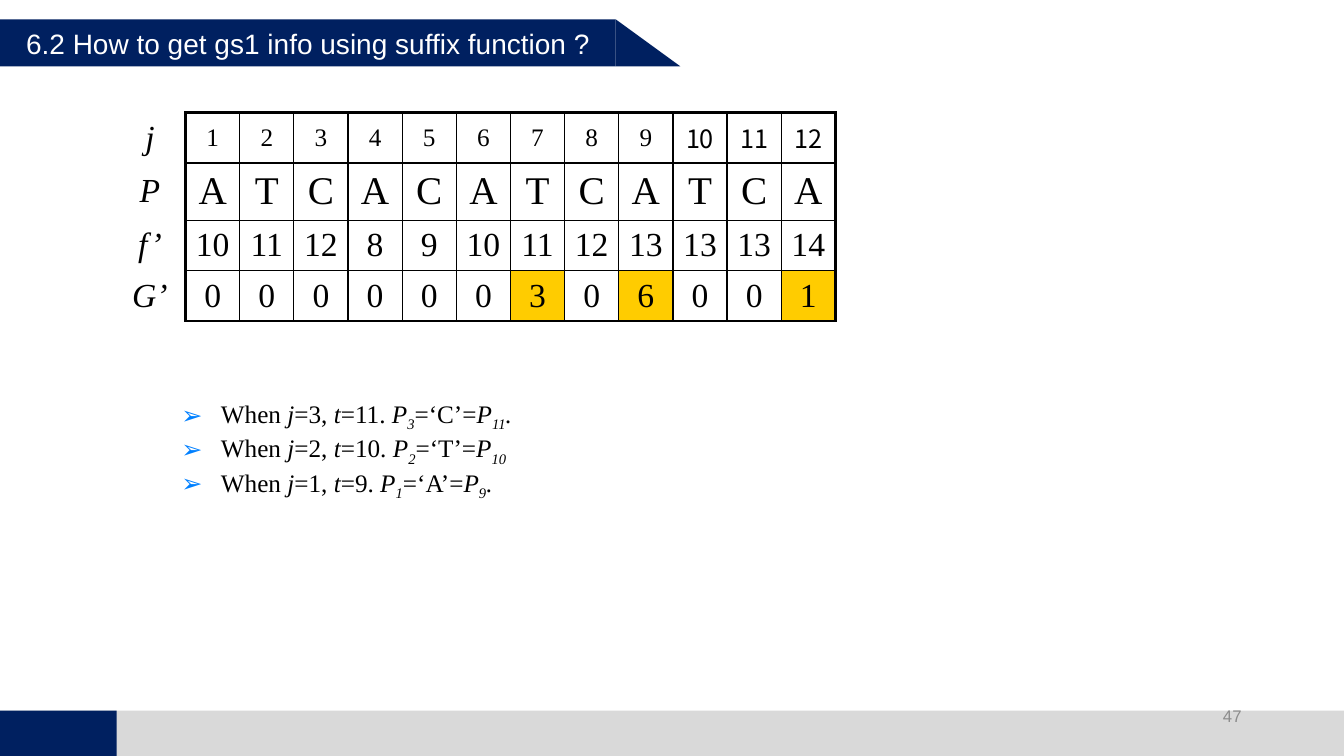
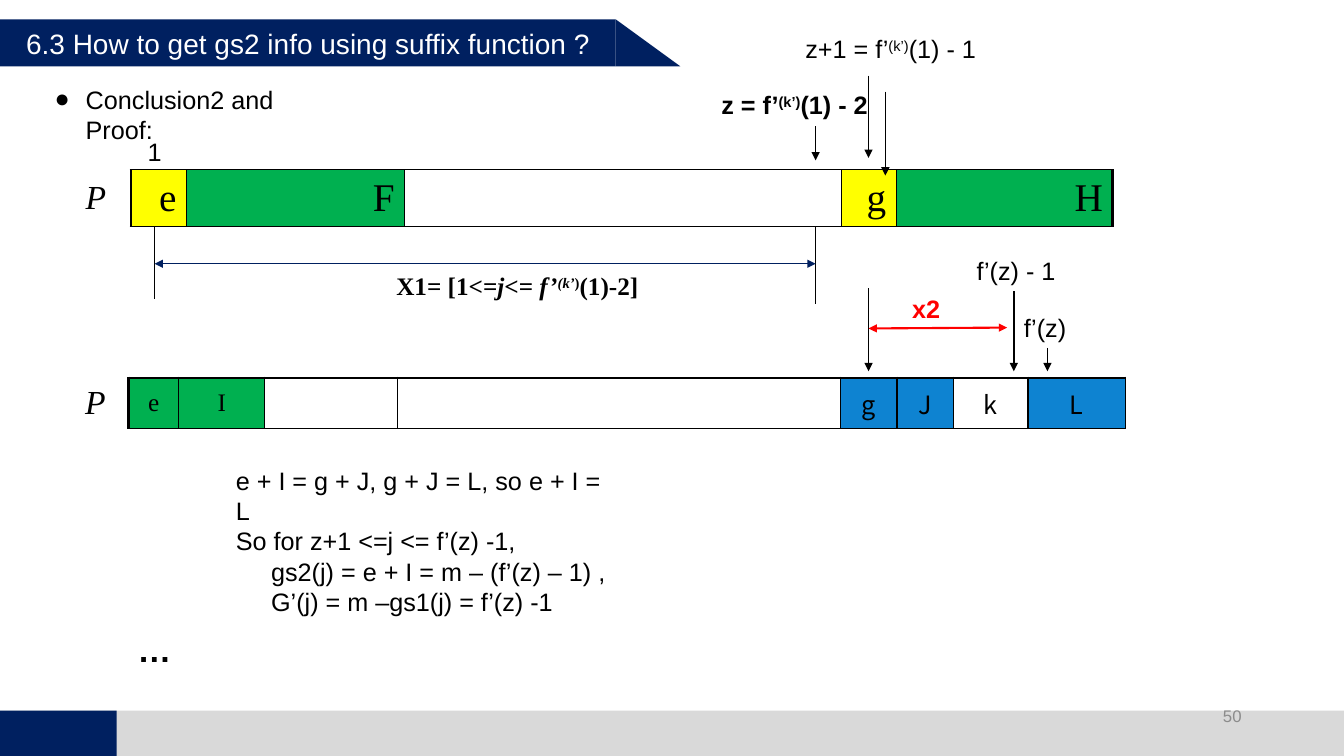
import dataclasses

import pptx
import pptx.dml.color
import pptx.enum.shapes
import pptx.enum.text
import pptx.oxml.ns
import pptx.util
from lxml import etree

qn = pptx.oxml.ns.qn
SHAPE = pptx.enum.shapes.MSO_SHAPE
ALIGN = pptx.enum.text.PP_ALIGN
ANCHOR = pptx.enum.text.MSO_ANCHOR

# The slide is a grid of 160 columns by 90 rows; all lengths count its squares
COLS, ROWS = 160, 90
SLIDE_W, SLIDE_H = pptx.util.Inches(13.33), pptx.util.Inches(7.5)


@dataclasses.dataclass(frozen=True)
class Theme:
    navy: str = "002060"
    grey: str = "D9D9D9"
    number: str = "8C8C8C"
    white: str = "FFFFFF"
    black: str = "000000"
    red: str = "FF0000"
    bullet: str = "0080FF"
    amber: str = "FFCC00"
    yellow: str = "FFFF00"
    green: str = "00B050"
    blue: str = "0E83D1"
    sans: str = "Arial"
    serif: str = "Times New Roman"
    cjk: str = "Noto Sans CJK TC"
    small: int = 12
    body: int = 18
    title: int = 20
    large: int = 24
    letter: int = 28
    thin: float = 1
    medium: float = 1.5
    thick: float = 2.25


T = Theme()


@dataclasses.dataclass(frozen=True)
class Cell:
    text: str = ""
    size: int = T.body
    font: str = T.serif
    fill: str = ""
    align: ALIGN = ALIGN.CENTER
    flags: str = ""


def x_len(columns):
    return round(SLIDE_W * columns / COLS)


def y_len(rows):
    return round(SLIDE_H * rows / ROWS)


def box(left, top, width, height):
    return x_len(left), y_len(top), x_len(width), y_len(height)


def rgb(color):
    return pptx.dml.color.RGBColor.from_string(color)


# Text
def format_run(r, size=T.body, font=T.sans, color=T.black, flags=""):
    """Flags: b bold, i italic, ^ superscript, _ subscript."""
    r.font.size, r.font.name = pptx.util.Pt(size), font
    r.font.color.rgb = rgb(color)
    r.font.bold, r.font.italic = "b" in flags, "i" in flags
    for flag, baseline in (("^", "30000"), ("_", "-25000")):
        if flag in flags:
            r._r.get_or_add_rPr().set("baseline", baseline)


def write(p, parts, **style):
    """Fill a paragraph from a string or from (text, flags) pairs."""
    if isinstance(parts, str):
        parts = [(parts, style.pop("flags", ""))]
    for text, flags in parts:
        r = p.add_run()
        r.text = text
        format_run(r, flags=flags, **style)


def set_indent(p, left, hanging=0):
    pPr = p._p.get_or_add_pPr()
    pPr.set("marL", str(x_len(left)))
    pPr.set("indent", str(-x_len(hanging)))
    return pPr


def add_text(s, at, *paragraphs, indents=(), align=ALIGN.LEFT, **style):
    tf = s.shapes.add_textbox(*box(*at)).text_frame
    tf.word_wrap = True
    for n, parts in enumerate(paragraphs):
        p = tf.add_paragraph() if n else tf.paragraphs[0]
        if indents:
            set_indent(p, indents[n])
        p.alignment = align
        write(p, parts, **style)


def place(shape, at):
    shape.left, shape.top, shape.width, shape.height = box(*at)
    shape.text_frame.auto_size = pptx.enum.text.MSO_AUTO_SIZE.NONE


def add_list(s, at, items, char, indent, bullet_color=T.black, **style):
    body = s.placeholders[1]
    place(body, at)
    tf = body.text_frame
    for n, parts in enumerate(items):
        p = tf.add_paragraph() if n else tf.paragraphs[0]
        pPr = set_indent(p, indent, indent)
        clr = etree.SubElement(pPr, qn("a:buClr"))
        etree.SubElement(clr, qn("a:srgbClr"), val=bullet_color)
        etree.SubElement(pPr, qn("a:buChar"), char=char)
        p.space_before = pptx.util.Pt(0)
        write(p, parts, **style)


# Shapes and lines
def add_block(s, at, color, kind=SHAPE.RECTANGLE):
    sp = s.shapes.add_shape(kind, *box(*at))
    sp.shadow.inherit = False
    sp.fill.solid()
    sp.fill.fore_color.rgb = rgb(color)
    sp.line.fill.background()


def add_line(s, start, end, color=T.black, width=T.thin, heads=()):
    """Heads lists the arrowed ends: headEnd at start, tailEnd at end."""
    line = s.shapes.add_connector(
        pptx.enum.shapes.MSO_CONNECTOR.STRAIGHT,
        x_len(start[0]), y_len(start[1]), x_len(end[0]), y_len(end[1]))
    line.line.color.rgb = rgb(color)
    line.line.width = pptx.util.Pt(width)
    for head in heads:
        etree.SubElement(line.line._get_or_add_ln(), qn(f"a:{head}"), type="triangle")
    etree.SubElement(line.element.spPr, qn("a:effectLst"))


# Tables
def set_borders(cell, **widths):
    tcPr = cell._tc.get_or_add_tcPr()
    for side in "LRTB":
        width = widths.get(side, 0)
        ln = etree.SubElement(tcPr, qn(f"a:ln{side}"), w=str(pptx.util.Pt(width)))
        if width:
            fill = etree.SubElement(ln, qn("a:solidFill"))
            etree.SubElement(fill, qn("a:srgbClr"), val=T.black)
        else:
            etree.SubElement(ln, qn("a:noFill"))


def add_strip(s, left, top, widths, heights, rows, outer):
    """Boxed cells with an unboxed label column; outer holds the frame's widths."""
    frame = s.shapes.add_table(len(rows), len(widths),
                               *box(left, top, sum(widths), sum(heights)))
    table = frame.table
    table.first_row = table.horz_banding = False
    for column, width in zip(table.columns, widths):
        column.width = x_len(width)
    for row, height in zip(table.rows, heights):
        row.height = y_len(height)
    last_row, last_col = len(rows) - 1, len(widths) - 1
    for i, row in enumerate(rows):
        for j, item in enumerate(row):
            cell = table.cell(i, j)
            if j == 0:
                set_borders(cell, R=outer["L"])
            else:
                at_edge = {"L": j == 1, "R": j == last_col, "T": i == 0, "B": i == last_row}
                set_borders(cell, **{side: outer[side] if edge else T.thin
                                     for side, edge in at_edge.items()})
            if item.fill:
                cell.fill.solid()
                cell.fill.fore_color.rgb = rgb(item.fill)
            else:
                cell.fill.background()
            cell.vertical_anchor = ANCHOR.MIDDLE
            p = cell.text_frame.paragraphs[0]
            p.text = item.text
            p.alignment = item.align
            for r in p.runs:
                format_run(r, item.size, item.font, flags=item.flags)


def label(text, align=ALIGN.CENTER):
    return Cell(text, T.large, align=align, flags="i")


# Shared frame: title band, footer and page number
def add_slide(prs, title, number):
    s = prs.slides.add_slide(prs.slide_layouts[1])
    add_block(s, (0, 84.6, COLS, 5.4), T.grey)
    add_block(s, (0, 84.6, 13.9, 5.4), T.navy)
    add_block(s, (73.3, 2.3, 7.7, 5.6), T.navy, SHAPE.RIGHT_TRIANGLE)
    band = s.shapes.title
    place(band, (0, 2.3, 73.3, 5.6))
    band.fill.solid()
    band.fill.fore_color.rgb = rgb(T.navy)
    tf = band.text_frame
    tf.text = title
    tf.margin_left = x_len(3.1)
    tf.vertical_anchor = ANCHOR.MIDDLE
    p = tf.paragraphs[0]
    p.alignment = ALIGN.LEFT
    format_run(p.runs[0], T.title, color=T.white)
    add_text(s, (113, 83.4, 36, 4.8), number, align=ALIGN.RIGHT,
             size=T.small, color=T.number)
    return s


def build_gs1(prs):
    s = add_slide(prs, "6.2 How to get gs1 info using suffix function ?", "47")

    # Pattern table
    rows = [
        [label("j")] + [Cell(str(j), font=T.cjk if j > 9 else T.serif)
                        for j in range(1, 13)],
        [label("P")] + [Cell(c, T.letter) for c in "ATCACATCATCA"],
        [label("f’")] + [Cell(str(v), T.large)
                         for v in (10, 11, 12, 8, 9, 10, 11, 12, 13, 13, 13, 14)],
        [label("G’")] + [Cell(v, T.large, fill="" if v == "0" else T.amber)
                         for v in "000000306001"],
    ]
    add_strip(s, 13.6, 13.4, [8.5] + [6.45] * 12, [6, 6.8, 6, 6], rows,
              dict.fromkeys("LRTB", T.thick))

    # Worked steps
    steps = [("3", "11", "C", "."), ("2", "10", "T", ""), ("1", "9", "A", ".")]
    items = [[("When ", ""), ("j", "i"), (f"={j}, ", ""), ("t", "i"), (f"={t}. ", ""),
              ("P", "i"), (j, "i_"), (f"=‘{c}’=", ""), ("P", "i"), (t, "i_")]
             + ([(stop, "i")] if stop else [])
             for j, t, c, stop in steps]
    add_list(s, (20.4, 46.8, 113.4, 15), items, "➢", 4.7, T.bullet, font=T.serif)


def build_gs2(prs):
    s = add_slide(prs, "6.3 How to get gs2 info using suffix function ?", "50")
    add_list(s, (5.3, 9.4, 35, 8), ["Conclusion2 and Proof:"], "●", 3.7)

    # Upper and lower pattern strips
    upper = [label("P", ALIGN.LEFT)] + [
        Cell(text, T.letter, fill=fill, align=ALIGN.RIGHT)
        for text, fill in (("e", T.yellow), ("F", T.green), ("", ""),
                           ("g", T.yellow), ("H", T.green))]
    add_strip(s, 9, 20.2, [6.6, 6.6, 26, 52, 6.5, 25.8], [6.8], [upper],
              {"L": T.thick, "R": T.thick, "T": T.thin, "B": T.thin})
    lower = [label("P"), Cell("e", fill=T.green), Cell("I", fill=T.green), Cell(), Cell()] + [
        Cell(text, font=T.cjk, fill=fill)
        for text, fill in (("g", T.blue), ("J", T.blue), ("k", ""), ("L", T.blue))]
    add_strip(s, 7.4, 45, [7.9, 6, 10.2, 15.8, 52.8, 6.7, 6.7, 8.9, 11.6], [6], [lower],
              {"L": T.thick, "R": T.thin, "T": T.thick, "B": T.thin})

    # Ranges X1 and x2
    start_x, z_x, next_x = 18.4, 97.1, 103.4
    both = ("headEnd", "tailEnd")
    add_line(s, (start_x, 27), (start_x, 35.6))
    add_line(s, (z_x, 27), (z_x, 36.2))
    add_line(s, (start_x, 31.4), (z_x, 31.4), T.navy, heads=both)
    add_line(s, (next_x, 39.1), (119.9, 39), T.red, T.medium, both)

    # Position arrows
    for x, top, bottom in ((z_x, 15, 19.1), (next_x, 9, 18.8), (105.4, 10.9, 20.9),
                           (next_x, 34.3, 44.2), (120.7, 34.7, 44.2), (124.7, 41.4, 44.2)):
        add_line(s, (x, top), (x, bottom), heads=("tailEnd",))

    # Labels
    add_text(s, (16.4, 15.7, 6, 4.8), "1")
    add_text(s, (94.7, 3.4, 26, 4.8), [("z+1 = f’", ""), ("(k’)", "^"), ("(1) - 1", "")])
    add_text(s, (84.7, 10.1, 24, 4.8), [("z = f’", "b"), ("(k’)", "b^"), ("(1) - 2", "b")])
    add_text(s, (46, 31.6, 60, 4.8),
             [("X1= [1<=", "b"), ("j", "bi"), ("<= ", "b"), ("f’", "bi"),
              ("(k’", "bi^"), (")", "b^"), ("(1)-2]", "b")], font=T.serif)
    add_text(s, (115.1, 29.8, 16, 4.8), "f’(z) - 1")
    add_text(s, (120.7, 36.6, 12, 4.8), "f’(z)")
    add_text(s, (107.4, 34.3, 8.6, 4.8), "x2", color=T.red, flags="b")

    # Conclusion
    add_text(s, (26.9, 54.8, 47.4, 19.4),
             "e + I = g + J, g + J = L, so e + I = L",
             "So for z+1 <=j <= f’(z) -1,",
             "gs2(j) = e + I = m – (f’(z) – 1) ,",
             "G’(j) = m –gs1(j) = f’(z) -1",
             indents=(0, 0, 4.2, 4.2))
    add_text(s, (15.2, 74.3, 8, 6), "…", size=T.large, flags="b")


def main():
    prs = pptx.Presentation()
    prs.slide_width, prs.slide_height = SLIDE_W, SLIDE_H
    build_gs1(prs)
    build_gs2(prs)
    prs.save("out.pptx")


if __name__ == "__main__":
    main()
